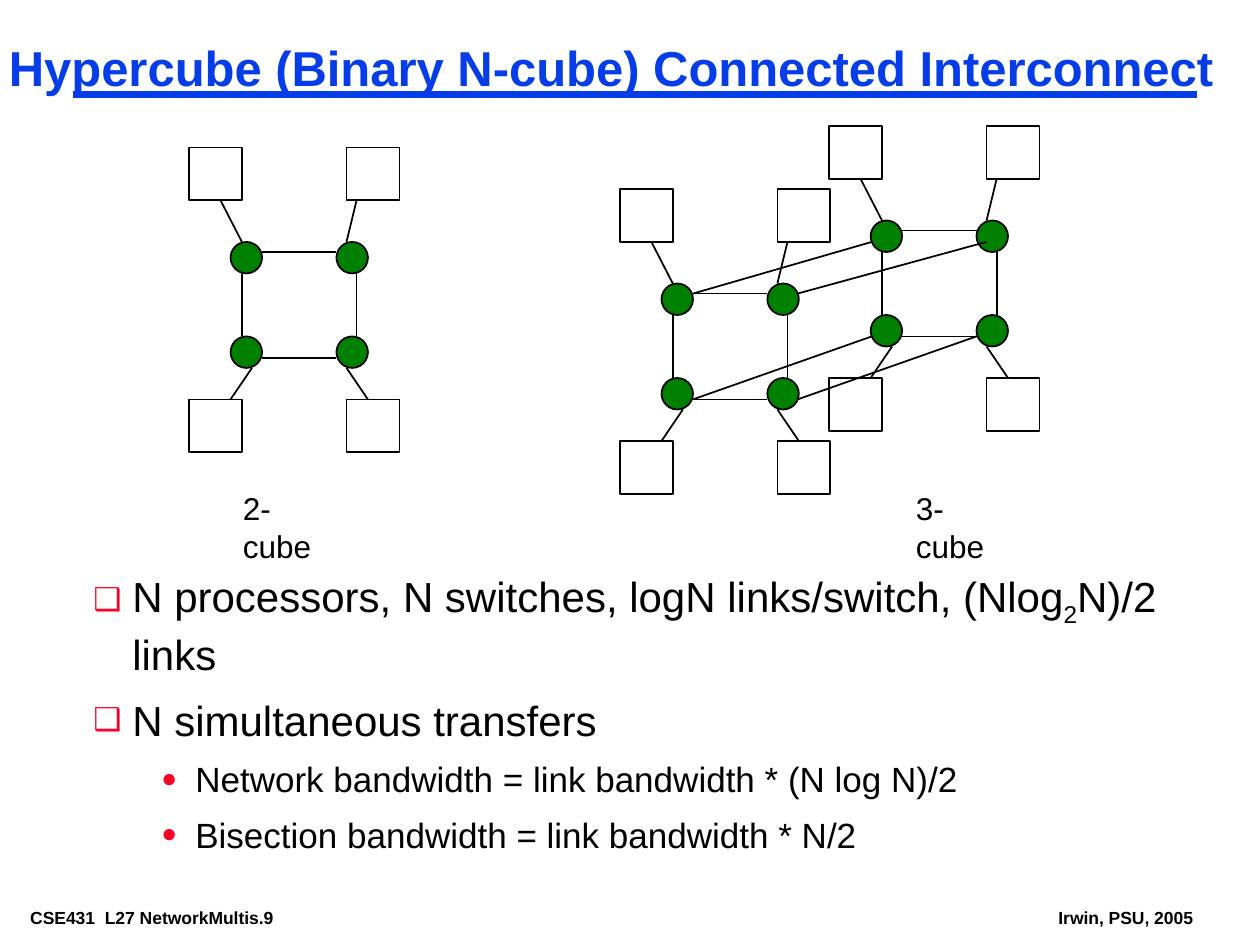
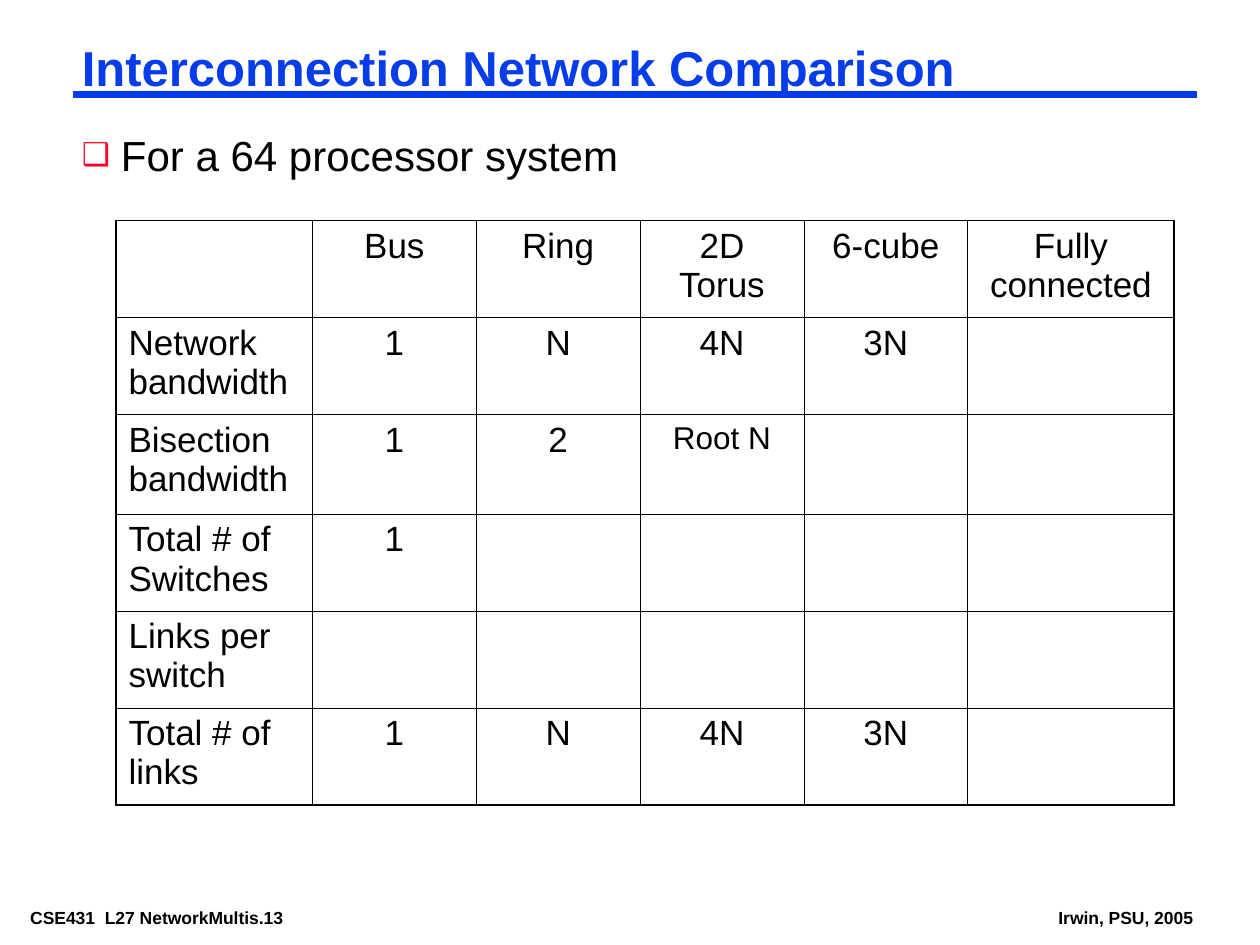
from dataclasses import dataclass
from itertools import product

from lxml import etree
from pptx import Presentation
from pptx.dml.color import RGBColor
from pptx.enum import shapes, text
from pptx.oxml import ns
from pptx.util import Inches, Pt


@dataclass(frozen=True)
class Theme:
    font: str = "Arial"
    ink: str = "000000"
    blue: str = "063DE8"
    red: str = "FC0128"
    green: str = "008000"
    title: int = 28
    list_sizes: tuple = (24, 20)
    cell: int = 20
    label: int = 18
    footer: int = 10


theme = Theme()


def write(para, words, size, color=theme.ink, bold=False, baseline=0):
    span = para.add_run()
    span.text = words
    span.font.name = theme.font
    span.font.size = Pt(size)
    span.font.bold = bold
    span.font.color.rgb = RGBColor.from_string(color)
    if baseline:
        span._r.get_or_add_rPr().set("baseline", str(baseline * 1000))


def draw_line(parent, start, end, color=theme.ink, width=1):
    points = [Inches(value) for value in (*start, *end)]
    line = parent.add_connector(shapes.MSO_CONNECTOR.STRAIGHT, *points)
    line.line.color.rgb = RGBColor.from_string(color)
    line.line.width = Pt(width)
    etree.SubElement(line._element.spPr, ns.qn("a:effectLst"))


# Contents: each list item is (level, [(words, baseline), ...])
contents = [
    dict(number=9, title="Hypercube (Binary N-cube) Connected Interconnect",
         title_at=(0, 0.33, 10, 0.88), body_at=(0.67, 4.5, 8.96, 2.31),
         items=[
             (0, [("N processors, N switches, logN links/switch, (Nlog", 0),
                  ("2", -25), ("N)/2 links", 0)]),
             (0, [("N simultaneous transfers", 0)]),
             (1, [("Network bandwidth = link bandwidth * (N log N)/2", 0)]),
             (1, [("Bisection bandwidth = link bandwidth * N/2", 0)])]),
    dict(number=13, title="Interconnection Network Comparison",
         title_at=(0.58, 0.33, 8.92, 0.46), body_at=(0.58, 1, 8.33, 0.46),
         items=[(0, [("For a 64 processor system", 0)])]),
]
# Per list level: mark, left margin, hanging indent, space before
levels = [("❑", 0.31, -0.31, 9), ("●", 0.81, -0.27, 7.5)]

deck = Presentation()
deck.slide_width, deck.slide_height = Inches(10), Inches(7.5)
pages = []

# Title, rule, list and footers of every page
for content in contents:
    page = deck.slides.add_slide(deck.slide_layouts[1])
    pages.append(page)
    title, body = page.shapes.title, page.placeholders[1]
    footers = []
    for words, left, width in ((f"CSE431  L27 NetworkMultis.{content['number']}", 0.17, 2.66),
                               ("Irwin, PSU, 2005", 8.33, 1.21)):
        footer = page.shapes.add_textbox(Inches(left), Inches(7.17), Inches(width), Inches(0.22))
        write(footer.text_frame.paragraphs[0], words, theme.footer, bold=True)
        footers.append(footer)
    for box, place in ((title, content["title_at"]), (body, content["body_at"])):
        box.left, box.top, box.width, box.height = (Inches(value) for value in place)
    for box in (title, body, *footers):
        frame = box.text_frame
        frame.margin_left = frame.margin_right = Inches(0.07)
        frame.margin_top = frame.margin_bottom = Inches(0.03)
        frame.vertical_anchor = text.MSO_ANCHOR.TOP
        frame.word_wrap = box not in footers
        frame.auto_size = (text.MSO_AUTO_SIZE.SHAPE_TO_FIT_TEXT if box in footers
                           else text.MSO_AUTO_SIZE.NONE)
    draw_line(page.shapes, (0.58, 0.75), (9.5, 0.75), theme.blue, 4.5)

    para = title.text_frame.paragraphs[0]
    para.alignment = text.PP_ALIGN.LEFT
    para.line_spacing = 0.87
    write(para, content["title"], theme.title, theme.blue, bold=True)

    for index, (level, spans) in enumerate(content["items"]):
        frame = body.text_frame
        para = frame.add_paragraph() if index else frame.paragraphs[0]
        mark, margin, indent, before = levels[level]
        para.level = level
        para.space_before = Pt(before)
        props = para._p.get_or_add_pPr()
        props.set("marL", str(Inches(margin)))
        props.set("indent", str(Inches(indent)))
        color = etree.SubElement(props, ns.qn("a:buClr"))
        etree.SubElement(color, ns.qn("a:srgbClr"), val=theme.red)
        etree.SubElement(props, ns.qn("a:buSzPct"), val="75000")
        etree.SubElement(props, ns.qn("a:buFont"), typeface=theme.font)
        etree.SubElement(props, ns.qn("a:buChar"), char=mark)
        for words, baseline in spans:
            write(para, words, theme.list_sizes[level], baseline=baseline)

cube_page, table_page = pages

# Cubes: every face has four processors, four switches and their wires
face_wires = [
    ((0.42, 0.92), (0.42, 1.5)), ((1.33, 1), (1.33, 1.58)),
    ((0.58, 0.83), (1.17, 0.83)), ((0.58, 1.67), (1.17, 1.67)),
    ((0.25, 0.42), (0.42, 0.75)), ((1.33, 0.42), (1.25, 0.75)),
    ((0.5, 1.75), (0.33, 2)), ((1.25, 1.75), (1.42, 2)),
]
face_nodes = [
    (shapes.MSO_SHAPE.RECTANGLE, 0.42, (0, 1.25), (0, 2), None),
    (shapes.MSO_SHAPE.OVAL, 0.25, (0.33, 1.17), (0.75, 1.5), theme.green),
]
face_links = [
    ((6.33, 2.33), (7.83, 1.92)), ((5.5, 2.33), (6.92, 1.92)),
    ((6.33, 3.17), (7.75, 2.67)), ((5.5, 3.17), (6.92, 2.67)),
]
cubes = [("2-cube", 1.83, [(1.5, 1.17)], []),
         ("3-cube", 7.17, [(4.92, 1.5), (6.58, 1)], face_links)]

for name, label_left, faces, links in cubes:
    cube = cube_page.shapes.add_group_shape().shapes
    for left, top in faces:
        for start, end in face_wires:
            draw_line(cube, (left + start[0], top + start[1]), (left + end[0], top + end[1]))
        for kind, side, columns, rows, fill in face_nodes:
            for across, down in product(columns, rows):
                node = cube.add_shape(kind, Inches(left + across), Inches(top + down),
                                      Inches(side), Inches(side))
                node.shadow.inherit = False
                node.line.color.rgb = RGBColor.from_string(theme.ink)
                node.line.width = Pt(1)
                if fill:
                    node.fill.solid()
                    node.fill.fore_color.rgb = RGBColor.from_string(fill)
                else:
                    node.fill.background()
    for start, end in links:
        draw_line(cube, start, end)
    label = cube.add_textbox(Inches(label_left), Inches(3.83), Inches(0.96), Inches(0.4))
    label.text_frame.word_wrap = False
    label.text_frame.auto_size = text.MSO_AUTO_SIZE.SHAPE_TO_FIT_TEXT
    write(label.text_frame.paragraphs[0], name, theme.label)

# Comparison table
networks = [
    ["", "Bus", "Ring", "2D Torus", "6-cube", "Fully connected"],
    ["Network bandwidth", "1", "N", "4N", "3N", ""],
    ["Bisection bandwidth", "1", "2", "Root N", "", ""],
    ["Total # of Switches", "1", "", "", "", ""],
    ["Links per switch", "", "", "", "", ""],
    ["Total # of links", "1", "N", "4N", "3N", ""],
]
widths = [1.56, 1.3, 1.3, 1.3, 1.3, 1.64]
heights = [0.77, 0.77, 0.79, 0.77, 0.77, 0.77]
table = table_page.shapes.add_table(len(heights), len(widths), Inches(0.92), Inches(1.75),
                                    Inches(sum(widths)), Inches(sum(heights))).table
table.first_row = table.horz_banding = False
for column, width in zip(table.columns, widths):
    column.width = Inches(width)
for row, height in zip(table.rows, heights):
    row.height = Inches(height)

for (row, values) in enumerate(networks):
    for column, words in enumerate(values):
        cell = table.cell(row, column)
        cell.margin_left = cell.margin_right = Inches(0.1)
        cell.margin_top = cell.margin_bottom = Inches(0.05)
        if words:
            small = words == "Root N"
            para = cell.text_frame.paragraphs[0]
            para.alignment = text.PP_ALIGN.CENTER if column else text.PP_ALIGN.LEFT
            para.space_before = Pt(6.8 if small else 7.5)
            write(para, words, theme.label if small else theme.cell)
        # Thin inner borders, thicker outer ones
        outer = dict(lnL=column == 0, lnR=column == len(widths) - 1,
                     lnT=row == 0, lnB=row == len(heights) - 1)
        props = cell._tc.get_or_add_tcPr()
        for edge, is_outer in outer.items():
            border = etree.SubElement(props, ns.qn(f"a:{edge}"),
                                      w=str(Pt(1.08 if is_outer else 0.45)))
            fill = etree.SubElement(border, ns.qn("a:solidFill"))
            etree.SubElement(fill, ns.qn("a:srgbClr"), val=theme.ink)
        cell.fill.background()

deck.save("out.pptx")
